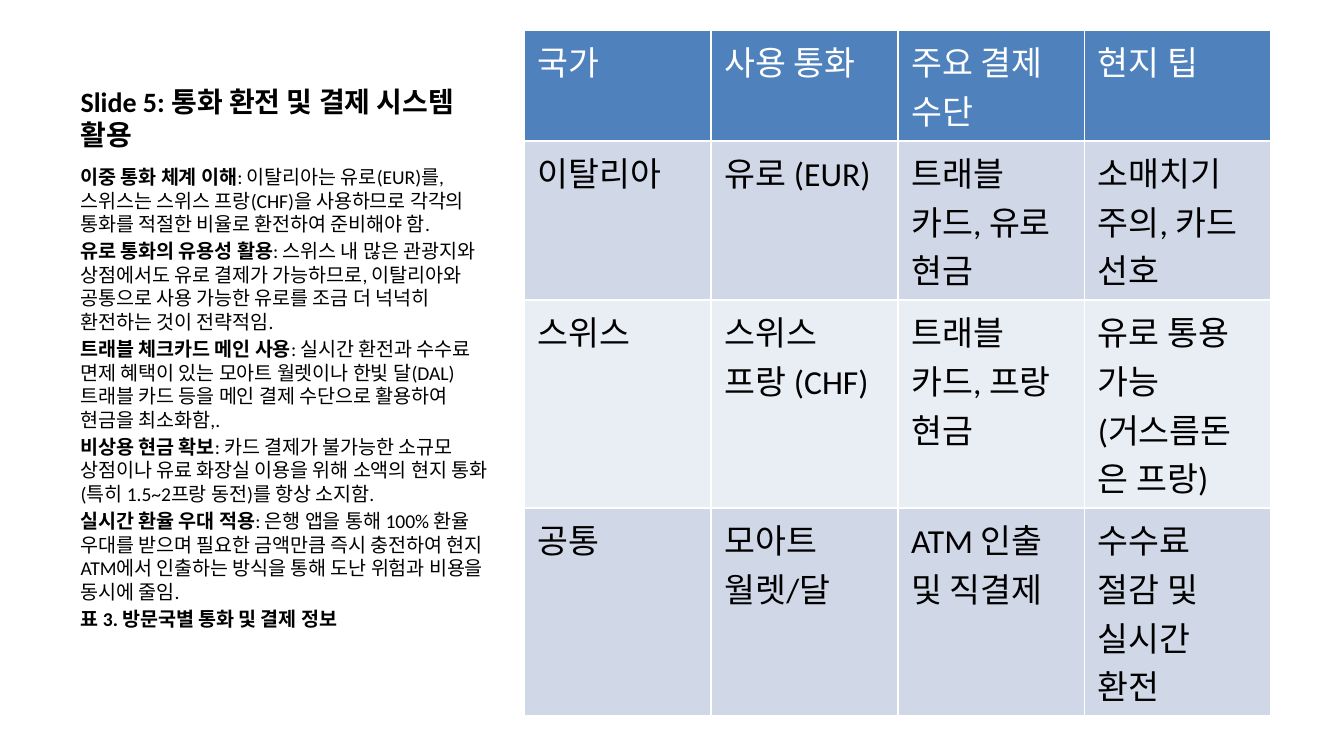
from pptx import Presentation
from pptx.dml.color import RGBColor
from pptx.enum.text import MSO_ANCHOR, MSO_AUTO_SIZE
from pptx.util import Pt

BOTTOM, TOP = MSO_ANCHOR.BOTTOM, MSO_ANCHOR.TOP
NO_FIT = MSO_AUTO_SIZE.NONE
BLACK = RGBColor(0, 0, 0)
WHITE = RGBColor(255, 255, 255)
BLUE = RGBColor(0x4F, 0x81, 0xBD)
BANDS = [RGBColor(0xD0, 0xD8, 0xE8), RGBColor(0xE9, 0xED, 0xF4)]

TITLE = "Slide 5: 통화 환전 및 결제 시스템 활용"
NOTES = [
    ("이중 통화 체계 이해",
     ": 이탈리아는 유로(EUR)를, 스위스는 스위스 프랑(CHF)을 사용하므로 각각의 통화를 적절한 비율로 환전하여 준비해야 함."),
    ("유로 통화의 유용성 활용",
     ": 스위스 내 많은 관광지와 상점에서도 유로 결제가 가능하므로, 이탈리아와 공통으로 사용 가능한 유로를 조금 더 넉넉히 환전하는 것이 전략적임."),
    ("트래블 체크카드 메인 사용",
     ": 실시간 환전과 수수료 면제 혜택이 있는 모아트 월렛이나 한빛 달(DAL) 트래블 카드 등을 메인 결제 수단으로 활용하여 현금을 최소화함,."),
    ("비상용 현금 확보",
     ": 카드 결제가 불가능한 소규모 상점이나 유료 화장실 이용을 위해 소액의 현지 통화(특히 1.5~2프랑 동전)를 항상 소지함."),
    ("실시간 환율 우대 적용",
     ": 은행 앱을 통해 100% 환율 우대를 받으며 필요한 금액만큼 즉시 충전하여 현지 ATM에서 인출하는 방식을 통해 도난 위험과 비용을 동시에 줄임."),
    ("표 3. 방문국별 통화 및 결제 정보", ""),
]
ROWS = [
    ("국가", "사용 통화", "주요 결제 수단", "현지 팁"),
    ("이탈리아", "유로 (EUR)", "트래블 카드, 유로 현금", "소매치기 주의, 카드 선호"),
    ("스위스", "스위스 프랑 (CHF)", "트래블 카드, 프랑 현금", "유로 통용 가능(거스름돈은 프랑)"),
    ("공통", "모아트 월렛/달", "ATM 인출 및 직결제", "수수료 절감 및 실시간 환전"),
]
HEIGHTS = [58.5, 85, 111, 111]
COL = 100


def style(item, **form):
    for name, value in form.items():
        setattr(item, name, value)


def write(par, text, size, bold, color):
    run = par.add_run()
    run.text = text
    style(run.font, name="Calibri", size=Pt(size), bold=bold)
    run.font.color.rgb = color


def place(shape, top, height, anchor):
    style(shape, left=Pt(36), top=Pt(top), width=Pt(236.9), height=Pt(height))
    frame = shape.text_frame
    style(frame, word_wrap=True, auto_size=NO_FIT, vertical_anchor=anchor)
    return frame


deck = Presentation()
style(deck, slide_width=Pt(720), slide_height=Pt(405))
slide = deck.slides.add_slide(deck.slide_layouts[7])
title, spare, body = slide.placeholders
spare.element.getparent().remove(spare.element)

par = place(title, 16.1, 68.6, BOTTOM).paragraphs[0]
write(par, TITLE, 15, True, BLACK)

frame = place(body, 84.8, 277, TOP)
for i, (head, rest) in enumerate(NOTES):
    par = frame.add_paragraph() if i else frame.paragraphs[0]
    par.space_before = Pt(2)
    write(par, head, 10.5, True, BLACK)
    if rest:
        write(par, rest, 10.5, False, BLACK)

grid = slide.shapes.add_table(len(ROWS), len(ROWS[0]), Pt(281), Pt(16.1),
                              Pt(COL * len(ROWS[0])), Pt(sum(HEIGHTS))).table
for col in grid.columns:
    col.width = Pt(COL)
for r, (row, height) in enumerate(zip(ROWS, HEIGHTS)):
    grid.rows[r].height = Pt(height)
    for c, text in enumerate(row):
        cell = grid.cell(r, c)
        cell.fill.solid()
        cell.fill.fore_color.rgb = BANDS[(r - 1) % 2] if r else BLUE
        write(cell.text_frame.paragraphs[0], text, 18, False,
              BLACK if r else WHITE)

deck.save("out.pptx")
